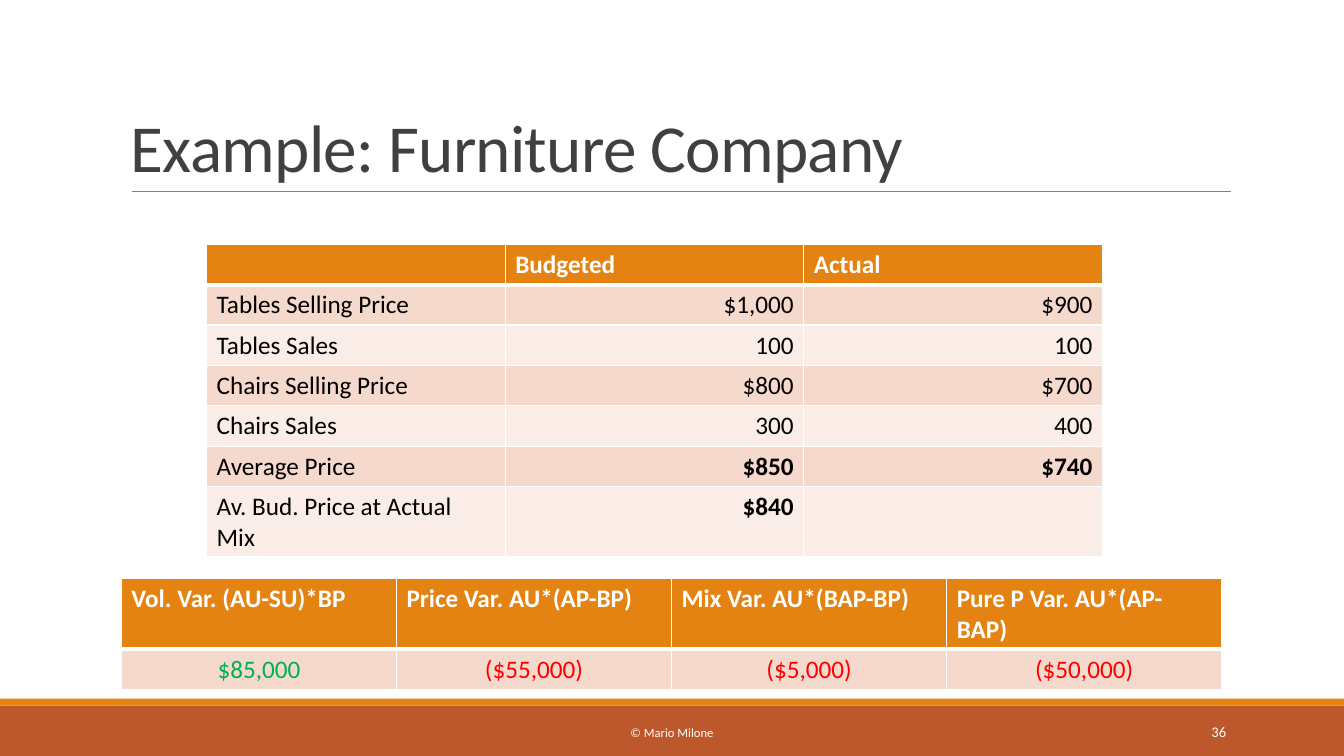
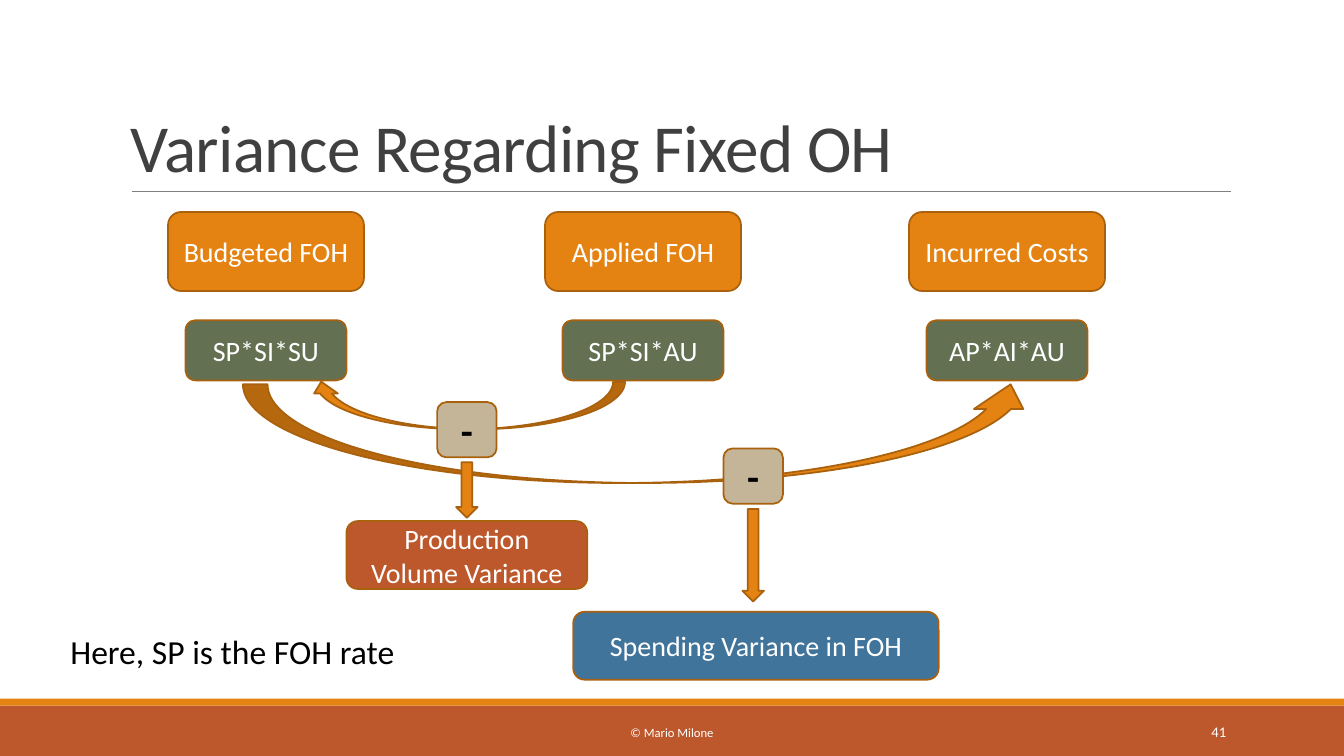
from lxml.etree import SubElement
from pptx import Presentation
from pptx.dml.color import RGBColor
from pptx.enum.shapes import MSO_CONNECTOR, MSO_SHAPE
from pptx.enum.text import MSO_ANCHOR, PP_ALIGN
from pptx.oxml.ns import qn
from pptx.util import Pt

ORANGE = RGBColor(0xE4, 0x83, 0x12)
RUST = RGBColor(0xBD, 0x58, 0x2C)
OUTLINE = RGBColor(0xA9, 0x61, 0x0D)
OLIVE = RGBColor(0x63, 0x70, 0x52)
BLUE = RGBColor(0x40, 0x74, 0x9B)
TAN = RGBColor(0xC5, 0xB5, 0x98)
BAND_DARK = RGBColor(0xF5, 0xD9, 0xCC)
BAND_LIGHT = RGBColor(0xFA, 0xED, 0xE7)
TITLE_GRAY = RGBColor(0x40, 0x40, 0x40)
RULE_GRAY = RGBColor(0x80, 0x80, 0x80)
GREEN = RGBColor(0x00, 0xB0, 0x50)
RED = RGBColor(0xFF, 0x00, 0x00)
WHITE = RGBColor(0xFF, 0xFF, 0xFF)
BLACK = RGBColor(0x00, 0x00, 0x00)

FONT = "Calibri"
WIDTH, HEIGHT = 960, 540
BAND_TOP = 504
STRIPE = 5


def write(tf, text, size, color, align=PP_ALIGN.LEFT, bold=False):
    p = tf.paragraphs[0]
    p.text = text
    p.alignment = align
    p.font.name = FONT
    p.font.size = Pt(size)
    p.font.bold = bold
    p.font.color.rgb = color
    return p


def add_text(s, box, text, size, color, align=PP_ALIGN.LEFT, anchor=MSO_ANCHOR.TOP):
    tf = s.shapes.add_textbox(*map(Pt, box)).text_frame
    tf.word_wrap = True
    tf.vertical_anchor = anchor
    return write(tf, text, size, color, align)


def add_figure(s, kind, box, fill, line=OUTLINE):
    sp = s.shapes.add_shape(kind, *map(Pt, box))
    sp.shadow.inherit = False
    sp.fill.solid()
    sp.fill.fore_color.rgb = fill
    if line is None:
        sp.line.fill.background()
    else:
        sp.line.color.rgb = line
        sp.line.width = Pt(1.25)
    return sp


def add_box(s, center, top, size, text, fill, font_size=20, color=WHITE, bold=False):
    width, height = size
    sp = add_figure(s, MSO_SHAPE.FLOWCHART_ALTERNATE_PROCESS,
                    (center - width / 2, top, width, height), fill)
    tf = sp.text_frame
    tf.word_wrap = True
    tf.vertical_anchor = MSO_ANCHOR.MIDDLE
    write(tf, text, font_size, color, PP_ALIGN.CENTER, bold)


def add_minus(s, center, top):
    add_box(s, center, top, (42.5, 39.5), "-", TAN, 28, BLACK, True)


def add_down_arrow(s, center, top, height):
    width = 15.4
    add_figure(s, MSO_SHAPE.DOWN_ARROW, (center - width / 2, top, width, height), ORANGE)


def add_curve(s, box, flipped=False):
    sp = add_figure(s, MSO_SHAPE.CURVED_UP_ARROW, box, ORANGE)
    if flipped:
        sp._element.spPr.find(qn("a:xfrm")).set("flipH", "1")


def set_borders(cell, bottom):
    tcPr = cell._tc.get_or_add_tcPr()
    for side, width in (("L", 1), ("R", 1), ("T", 1), ("B", bottom)):
        ln = SubElement(tcPr, qn(f"a:ln{side}"), w=str(Pt(width)))
        fill = SubElement(ln, qn("a:solidFill"))
        SubElement(fill, qn("a:srgbClr"), val=str(WHITE))


def add_table(s, left, top, col_width, rows, cell_style):
    row_height = 28.8
    n_rows, n_cols = len(rows), len(rows[0])
    table = s.shapes.add_table(n_rows, n_cols, Pt(left), Pt(top),
                               Pt(col_width * n_cols), Pt(row_height * n_rows)).table
    for i, row in enumerate(rows):
        for j, text in enumerate(row):
            cell = table.cell(i, j)
            set_borders(cell, 3 if i == 0 else 1)
            cell.fill.solid()
            if i == 0:
                cell.fill.fore_color.rgb = ORANGE
                write(cell.text_frame, text, 18, WHITE, bold=True)
            else:
                cell.fill.fore_color.rgb = BAND_DARK if i % 2 else BAND_LIGHT
                write(cell.text_frame, text, 18, *cell_style(i, j))


def price_style(i, j):
    if j == 0:
        return BLACK, PP_ALIGN.LEFT
    return BLACK, PP_ALIGN.RIGHT, i >= 5


def variance_style(i, j):
    return GREEN if j == 0 else RED, PP_ALIGN.CENTER


def add_slide(prs, title, number):
    s = prs.slides.add_slide(prs.slide_layouts[6])
    add_figure(s, MSO_SHAPE.RECTANGLE, (0, BAND_TOP, WIDTH, HEIGHT - BAND_TOP), RUST, None)
    add_figure(s, MSO_SHAPE.RECTANGLE, (0, BAND_TOP - STRIPE, WIDTH, STRIPE), ORANGE, None)
    rule = s.shapes.add_connector(MSO_CONNECTOR.STRAIGHT, Pt(94), Pt(136.8), Pt(879), Pt(136.8))
    rule.line.color.rgb = RULE_GRAY
    rule.line.width = Pt(0.5)
    SubElement(rule._element.spPr, qn("a:effectLst"))
    p = add_text(s, (86.4, 22.5, 792, 114.3), title, 48, TITLE_GRAY, anchor=MSO_ANCHOR.BOTTOM)
    p.line_spacing = 0.85
    p.runs[0]._r.get_or_add_rPr().set("spc", "-50")
    add_text(s, (290, 508.5, 380, 28.8), "© Mario Milone", 9, WHITE,
             PP_ALIGN.CENTER, MSO_ANCHOR.MIDDLE)
    add_text(s, (780, 508.5, 103, 28.8), str(number), 10.5, WHITE,
             PP_ALIGN.RIGHT, MSO_ANCHOR.MIDDLE)
    return s


def add_furniture_slide(prs):
    s = add_slide(prs, "Example: Furniture Company", 36)
    add_table(s, 147.6, 174.5, 213.3, [
        ("", "Budgeted", "Actual"),
        ("Tables Selling Price", "$1,000", "$900"),
        ("Tables Sales", "100", "100"),
        ("Chairs Selling Price", "$800", "$700"),
        ("Chairs Sales", "300", "400"),
        ("Average Price", "$850", "$740"),
        ("Av. Bud. Price at Actual Mix", "$840", ""),
    ], price_style)
    add_table(s, 86.7, 413.3, 196.5, [
        ("Vol. Var. (AU-SU)*BP", "Price Var. AU*(AP-BP)",
         "Mix Var. AU*(BAP-BP)", "Pure P Var. AU*(AP-BAP)"),
        ("$85,000", "($55,000)", "($5,000)", "($50,000)"),
    ], variance_style)


def add_overhead_slide(prs):
    s = add_slide(prs, "Variance Regarding Fixed OH", 41)
    for center, heading, formula in (
        (190, "Budgeted FOH", "SP*SI*SU"),
        (459.3, "Applied FOH", "SP*SI*AU"),
        (719.3, "Incurred Costs", "AP*AI*AU"),
    ):
        add_box(s, center, 151.4, (140, 56.5), heading, ORANGE)
        add_box(s, center, 228.7, (115, 43), formula, OLIVE)

    volume, spending = 333.5, 538
    add_box(s, volume, 372.2, (172, 48.5), "Production Volume Variance", RUST)
    add_box(s, spending + 2, 437, (261, 48.5), "Spending Variance in FOH", BLUE)
    add_curve(s, (221, 272.6, 225.5, 34), flipped=True)
    add_minus(s, volume, 287.2)
    add_curve(s, (173.5, 274.5, 566, 70.5))
    add_minus(s, spending, 320.3)
    add_down_arrow(s, volume, 330.2, 39.6)
    add_down_arrow(s, spending, 363.5, 66.2)
    add_text(s, (43.2, 446.8, 255, 36), "Here, SP is the FOH rate", 24, BLACK)


def main():
    prs = Presentation()
    prs.slide_width = Pt(WIDTH)
    prs.slide_height = Pt(HEIGHT)
    add_furniture_slide(prs)
    add_overhead_slide(prs)
    prs.save("out.pptx")


if __name__ == "__main__":
    main()
